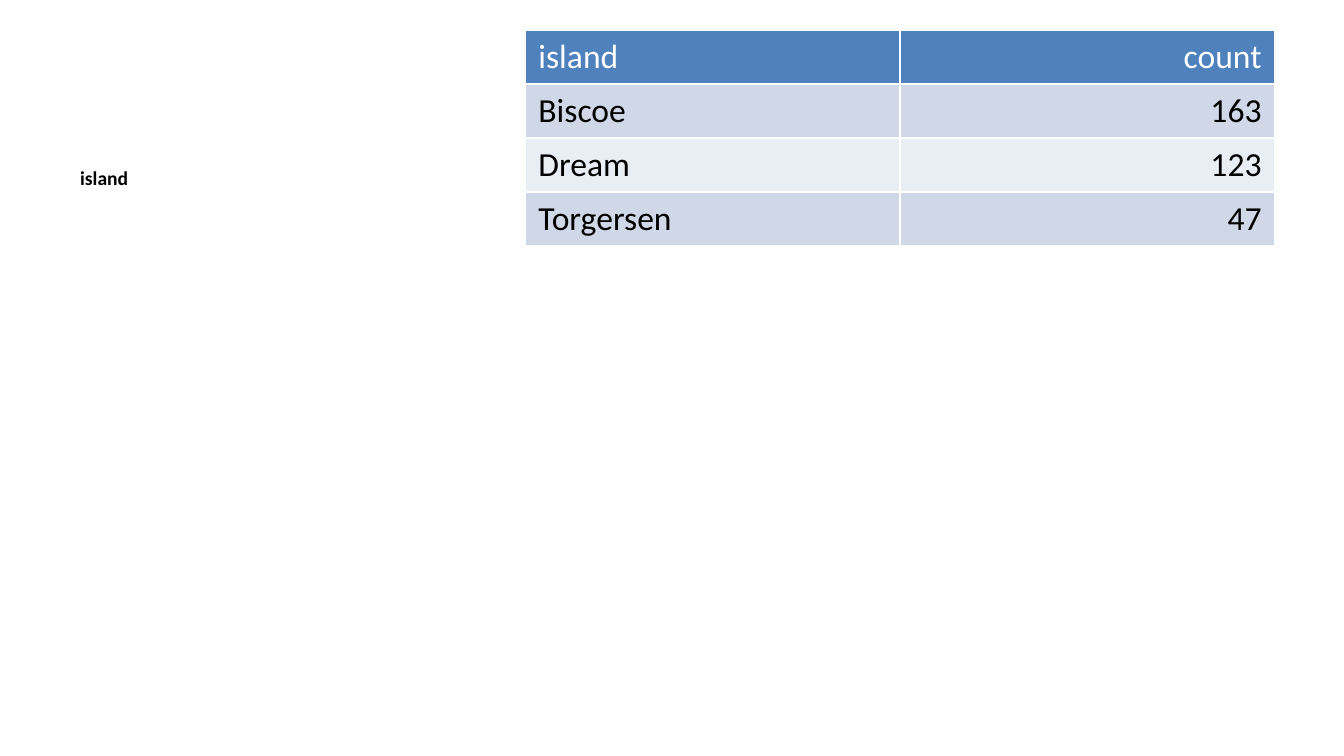
from pptx import Presentation
from pptx.dml.color import RGBColor
from pptx.enum.text import PP_ALIGN as Align
from pptx.util import Emu, Pt

# Content
CAPTION = "island"
ISLAND_COUNTS = [
    ("island", "count"),
    ("Biscoe", "163"),
    ("Dream", "123"),
    ("Torgersen", "47"),
]

# Layout in px
SLIDE = (1344, 756)
CAPTION_BOX = (67, 159, 442, 517)
TABLE_LEFT, TABLE_TOP = 525, 30
COLUMN_WIDTH, ROW_HEIGHT = 375, 54

# Look
HEADER_FILL = "4F81BD"
BAND_FILLS = ("D0D8E8", "E9EDF4")
WHITE, BLACK = "FFFFFF", "000000"
ALIGNMENTS = (Align.LEFT, Align.RIGHT)
CAPTION_FONT = {"name": "Calibri", "size": Pt(10.5), "bold": True}
TABLE_FONT = {"name": "Calibri", "size": Pt(18), "bold": False}


def px(length):
    return Emu(round(length * 914400 / 134.4))


def rgb(value):
    return RGBColor.from_string(value)


def write(paragraph, text, font_format, color):
    run = paragraph.add_run()
    run.text = text
    for attribute, value in font_format.items():
        setattr(run.font, attribute, value)
    run.font.color.rgb = rgb(color)


def main():
    prs = Presentation()
    prs.slide_width, prs.slide_height = map(px, SLIDE)
    slide = prs.slides.add_slide(prs.slide_layouts[6])

    # Caption
    caption = slide.shapes.add_textbox(*map(px, CAPTION_BOX)).text_frame
    caption.word_wrap = True
    caption.paragraphs[0].space_before = Pt(30)
    write(caption.paragraphs[0], CAPTION, CAPTION_FONT, BLACK)

    # Table of counts; the default table style supplies its white borders
    row_count, column_count = len(ISLAND_COUNTS), len(ISLAND_COUNTS[0])
    counts = slide.shapes.add_table(
        row_count, column_count, px(TABLE_LEFT), px(TABLE_TOP),
        px(column_count * COLUMN_WIDTH), px(row_count * ROW_HEIGHT)).table
    for r, entries in enumerate(ISLAND_COUNTS):
        fill = BAND_FILLS[(r - 1) % 2] if r else HEADER_FILL
        for c, entry in enumerate(entries):
            cell = counts.cell(r, c)
            cell.fill.solid()
            cell.fill.fore_color.rgb = rgb(fill)
            paragraph = cell.text_frame.paragraphs[0]
            paragraph.alignment = ALIGNMENTS[c]
            write(paragraph, entry, TABLE_FONT, BLACK if r else WHITE)

    prs.save("out.pptx")


if __name__ == "__main__":
    main()
